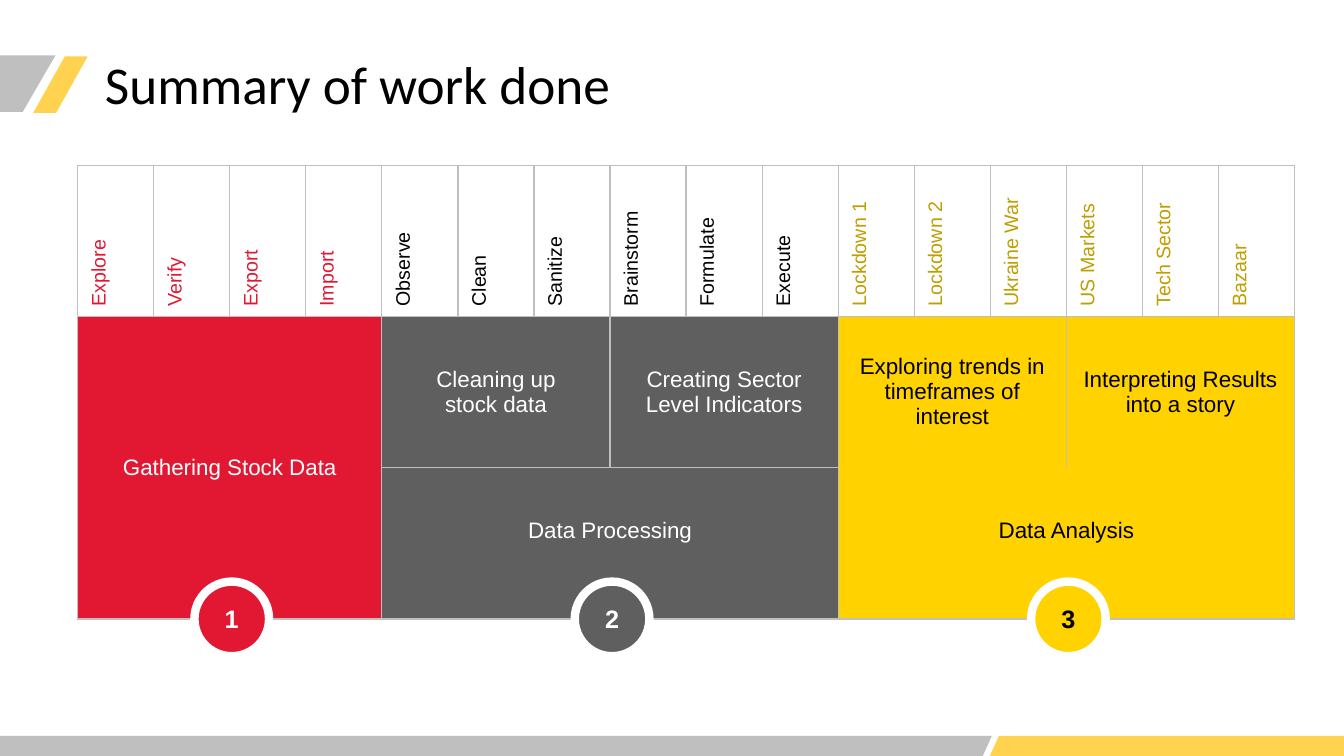
"""Builds the work summary slide: a phase table with numbered markers."""
from collections import namedtuple
from dataclasses import dataclass

from lxml import etree
from pptx import Presentation
from pptx import util as u
from pptx.dml.color import RGBColor
from pptx.enum import shapes, text
from pptx.oxml.ns import qn

Box = namedtuple("Box", "x y w h")
Phase = namedtuple("Phase", "fill ink step_ink seam name start steps stages")
WIDTH, HEIGHT = 13.33, 7.5


@dataclass(frozen=True)
class Theme:
    """Colours, fonts and type sizes of the slide."""
    red: str = "E21833"
    dark: str = "5F5F5F"
    yellow: str = "FFD200"
    olive: str = "BF9E00"
    amber: str = "FFD24F"
    grey: str = "BFBFBF"
    black: str = "000000"
    white: str = "FFFFFF"
    head_font: str = "Calibri"
    body_font: str = "Arial"
    title: int = 38
    step: int = 14
    stage: int = 16
    number: int = 18


T = Theme()
COLUMNS, ROWS = 16, 3
NO_STYLE = "{2D5ABB26-0587-4C30-8999-92F81FD0307C}"
PHASES = [
    Phase(T.red, T.white, T.red, T.grey, "Gathering Stock Data", 0,
          ["Explore", "Verify", "Export", "Import"], []),
    Phase(T.dark, T.white, T.black, T.grey, "Data Processing", 4,
          ["Observe", "Clean", "Sanitize", "Brainstorm", "Formulate", "Execute"],
          ["Cleaning up\nstock data", "Creating Sector Level Indicators"]),
    Phase(T.yellow, T.black, T.olive, T.yellow, "Data Analysis", 10,
          ["Lockdown 1", "Lockdown 2", "Ukraine War", "US Markets", "Tech Sector", "Bazaar"],
          ["Exploring trends in timeframes of interest", "Interpreting Results into a story"]),
]


def rgb(colour):
    """Turn a hex string into a colour value."""
    return RGBColor.from_string(colour)


def write(tf, words, size, colour, font=T.body_font, align=text.PP_ALIGN.CENTER, bold=False):
    """Fill the first paragraph, with a line break at each newline."""
    p = tf.paragraphs[0]
    p.alignment = align
    for i, line in enumerate(words.split("\n")):
        if i:
            p.add_line_break()
        r = p.add_run()
        r.text = line
        r.font.name, r.font.size, r.font.bold = font, u.Pt(size), bold
        r.font.color.rgb = rgb(colour)
    return p


def paint(sp, fill, line=None, width=0):
    """Give a shape a flat fill and an optional outline."""
    sp.shadow.inherit = False
    sp.fill.solid()
    sp.fill.fore_color.rgb = rgb(fill)
    if line:
        sp.line.color.rgb = rgb(line)
        sp.line.width = u.Pt(width)
    else:
        sp.line.fill.background()
    return sp


def add_preset(s, kind, box):
    """Add a preset shape in a box given in inches."""
    return s.shapes.add_shape(kind, *(u.Inches(v) for v in box))


def add_footer(s, box):
    """Draw the two slanted bands along the foot of the slide."""
    right, foot, slant = box.x + box.w, box.y + box.h, 0.09
    split, gap = box.x + 0.738 * box.w, 0.07
    bands = [
        (T.grey, [(box.x, box.y), (split, box.y), (split - slant, foot), (box.x, foot)]),
        (T.amber, [(split + gap, box.y), (right, box.y), (right, foot),
                   (split + gap - slant, foot)]),
    ]
    for colour, points in bands:
        start, *rest = [(u.Inches(x), u.Inches(y)) for x, y in points]
        builder = s.shapes.build_freeform(*start)
        builder.add_line_segments(rest, close=True)
        paint(builder.convert_to_shape(), colour)


def add_header(s, box):
    """Place the title and the two slanted accents to its left."""
    title = s.shapes.title
    title.left, title.top, title.width, title.height = (u.Inches(v) for v in box)
    tf = title.text_frame
    tf.word_wrap = True
    tf.auto_size = text.MSO_AUTO_SIZE.NONE
    tf.vertical_anchor = text.MSO_ANCHOR.TOP
    p = write(tf, "Summary of work done", T.title, T.black, T.head_font, text.PP_ALIGN.LEFT)
    p.line_spacing = 0.9
    for colour, dx, dy, width in [(T.grey, -1.72, 0.02, 1.33), (T.amber, -0.61, 0.03, 0.54)]:
        place = Box(box.x + dx, box.y + dy, width, 0.56)
        sp = paint(add_preset(s, shapes.MSO_SHAPE.PARALLELOGRAM, place), colour)
        sp.adjustments[0] = 0.58


def set_borders(cell, **sides):
    """Draw the four cell borders, grey unless a side names a colour."""
    tc_pr = cell._tc.get_or_add_tcPr()
    for i, side in enumerate(["lnL", "lnR", "lnT", "lnB"]):
        ln = etree.Element(qn("a:" + side), w=str(u.Pt(1)))
        fill = etree.SubElement(ln, qn("a:solidFill"))
        etree.SubElement(fill, qn("a:srgbClr"), val=sides.get(side, T.grey))
        tc_pr.insert(i, ln)


def format_cell(cell, fill, margin_y, **sides):
    """Set the anchor, margins, fill and borders of a cell."""
    cell.vertical_anchor = text.MSO_ANCHOR.MIDDLE
    cell.margin_left = cell.margin_right = u.Inches(0.1)
    cell.margin_top = cell.margin_bottom = u.Inches(margin_y)
    if fill:
        cell.fill.solid()
        cell.fill.fore_color.rgb = rgb(fill)
    else:
        cell.fill.background()
    set_borders(cell, **sides)


def fill_block(table, phase, words, row, col, rows, cols):
    """Merge a block of cells and label it in the phase colours."""
    for r in range(row, row + rows):
        seam = {"lnB": phase.seam} if r == 1 else {"lnT": phase.seam}
        for c in range(col, col + cols):
            format_cell(table.cell(r, c), phase.fill, 0.05, **seam)
    cell = table.cell(row, col)
    cell.merge(table.cell(row + rows - 1, col + cols - 1))
    write(cell.text_frame, words, T.stage, phase.ink)
    return cell


def fill_phase(table, phase):
    """Fill the steps, stages and name of one phase."""
    count = len(phase.steps)
    for c, step in enumerate(phase.steps, phase.start):
        cell = table.cell(0, c)
        format_cell(cell, None, 0.1)
        cell._tc.get_or_add_tcPr().set("vert", "vert270")
        write(cell.text_frame, step, T.step, phase.step_ink, align=text.PP_ALIGN.LEFT)
    if not phase.stages:
        fill_block(table, phase, phase.name, 1, phase.start, 2, count)
        return
    span = count // len(phase.stages)
    for i, stage in enumerate(phase.stages):
        fill_block(table, phase, stage, 1, phase.start + i * span, 1, span)
    cell = fill_block(table, phase, phase.name, 2, phase.start, 1, count)
    cell.margin_bottom = u.Inches(0.3)


def add_phases(s, box):
    """Build the phase table and its numbered markers on the lower edge."""
    frame = s.shapes.add_table(ROWS, COLUMNS, *(u.Inches(v) for v in box))
    table = frame.table
    table.first_row = table.horz_banding = False
    table._tbl.tblPr.find(qn("a:tableStyleId")).text = NO_STYLE
    unit, size = box.w / COLUMNS, 0.74
    for column in table.columns:
        column.width = u.Inches(unit)
    for number, phase in enumerate(PHASES, 1):
        fill_phase(table, phase)
        middle = box.x + 0.02 + (phase.start + len(phase.steps) / 2) * unit
        place = Box(middle - size / 2, box.y + box.h - size / 2, size, size)
        sp = paint(add_preset(s, shapes.MSO_SHAPE.OVAL, place), phase.fill, T.white, 6)
        sp.text_frame.vertical_anchor = text.MSO_ANCHOR.MIDDLE
        write(sp.text_frame, str(number), T.number, phase.ink, bold=True)


def main():
    """Build the slide and save it."""
    prs = Presentation()
    prs.slide_width, prs.slide_height = u.Inches(WIDTH), u.Inches(HEIGHT)
    s = prs.slides.add_slide(prs.slide_layouts[5])
    add_footer(s, Box(0, HEIGHT - 0.2, WIDTH, 0.2))
    add_phases(s, Box(0.77, 1.64, 12.07, 4.5))
    add_header(s, Box(0.94, 0.53, 12.06, 0.72))
    prs.save("out.pptx")


if __name__ == "__main__":
    main()
